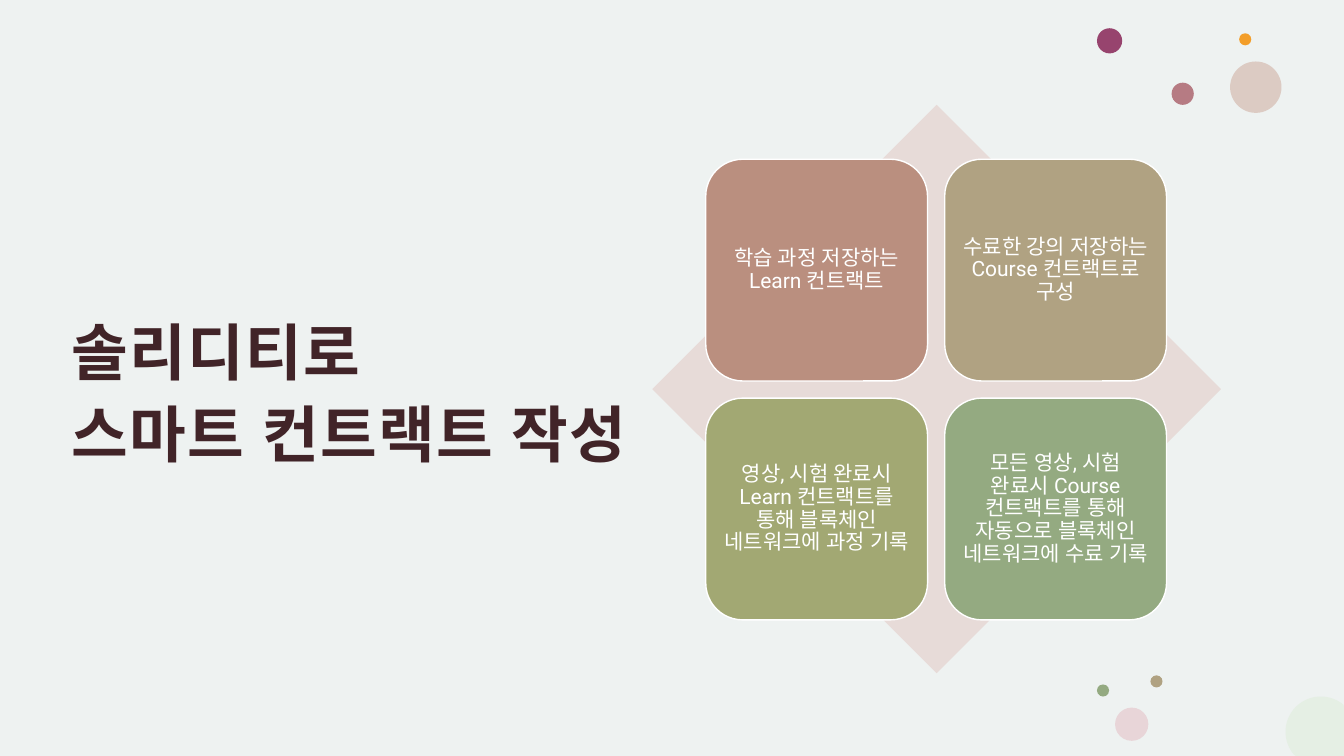
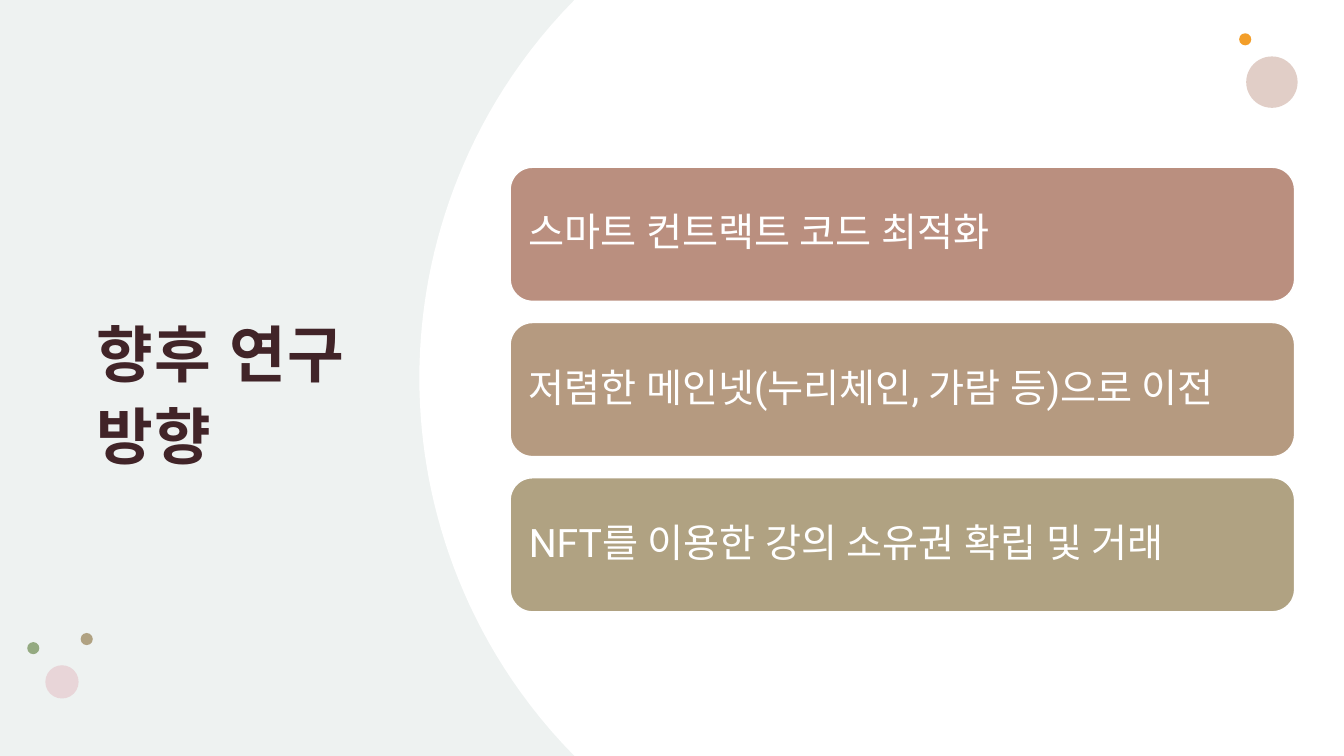
"""Build two slides on smart contracts and future research."""
from math import cos, radians, sin, sqrt

from lxml import etree
from pptx import Presentation
from pptx.dml.color import RGBColor
from pptx.enum.shapes import MSO_SHAPE as Preset
from pptx.enum.text import MSO_ANCHOR as Anchor, MSO_AUTO_SIZE as AutoSize, PP_ALIGN as Align
from pptx.oxml.ns import qn
from pptx.util import Inches, Pt

WIDTH, HEIGHT = 13.33, 7.5
FONT = "Roboto"
COLORS = {
    "background": "EEF2F1", "title": "412428", "white": "FFFFFF",
    "clay": "BA8F7F", "tan": "B59A80", "sand": "B0A282", "olive": "A2A873", "sage": "94AA81",
    "blush": "E7DBD8", "plum": "97446E", "rose": "B67B83", "orange": "F39E29",
    "beige": "D6BCB2", "pink": "E8D5D8", "mint": "E5EFE4",
}

CONTRACT_TITLE = "솔리디티로\v스마트 컨트랙트 작성"
CONTRACT_CARDS = [
    ("학습 과정 저장하는 Learn 컨트랙트", "clay"),
    ("수료한 강의 저장하는 Course 컨트랙트로 구성", "sand"),
    ("영상, 시험 완료시 Learn 컨트랙트를 통해 블록체인 네트워크에 과정 기록", "olive"),
    ("모든 영상, 시험 완료시 Course 컨트랙트를 통해 자동으로 블록체인 네트워크에 수료 기록", "sage"),
]
RESEARCH_TITLE = "향후 연구 방향"
RESEARCH_BARS = [
    ("스마트 컨트랙트 코드 최적화", "clay"),
    ("저렴한 메인넷(누리체인, 가람 등)으로 이전", "tan"),
    ("NFT를 이용한 강의 소유권 확립 및 거래", "sand"),
]
TRIO = [("sand", 0.53, 0, 0.12), ("pink", 0.18, 0.32, 0.33), ("sage", 0, 0.09, 0.12)]


def fill_shape(shape, color, outlined=False):
    shape.shadow.inherit = False
    shape.fill.solid()
    shape.fill.fore_color.rgb = RGBColor.from_string(COLORS[color])
    if outlined:
        shape.line.color.rgb = RGBColor.from_string(COLORS["white"])
        shape.line.width = Pt(1)
    else:
        shape.line.fill.background()


def add_preset(slide, preset, color, left, top, width, height, outlined=False):
    box = [Inches(value) for value in (left, top, width, height)]
    shape = slide.shapes.add_shape(preset, *box)
    fill_shape(shape, color, outlined)
    return shape


def add_polygon(slide, color, points):
    start, *others = [(Inches(x), Inches(y)) for x, y in points]
    builder = slide.shapes.build_freeform(*start)
    builder.add_line_segments(others, close=True)
    fill_shape(builder.convert_to_shape(), color)


def add_dot(slide, color, left, top, size):
    return add_preset(slide, Preset.OVAL, color, left, top, size, size)


def add_dots(slide, beige_left, beige_top, trio_left, trio_top):
    beige = add_dot(slide, "beige", beige_left, beige_top, 0.51)
    fill_color = beige.fill._xPr.find(qn("a:solidFill"))[0]
    etree.SubElement(fill_color, qn("a:alpha")).set("val", "72000")
    add_dot(slide, "orange", 12.29, 0.33, 0.12)
    for color, x, y, size in TRIO:
        add_dot(slide, color, trio_left + x, trio_top + y, size)


def format_text(shape, text, size, color, align, spacing, margin, bold=False):
    frame = shape.text_frame
    frame.text = text
    frame.word_wrap = True
    frame.auto_size = AutoSize.NONE
    frame.vertical_anchor = Anchor.MIDDLE
    frame.margin_left = frame.margin_right = Inches(margin)
    frame.margin_top = frame.margin_bottom = Inches(margin)
    paragraph = frame.paragraphs[0]
    paragraph.alignment = align
    paragraph.line_spacing = spacing
    paragraph.space_before = Pt(0)
    font = paragraph.font
    font.name, font.size, font.bold = FONT, Pt(size), bold
    font.color.rgb = RGBColor.from_string(COLORS[color])
    etree.SubElement(font._element, qn("a:ea")).set("typeface", FONT)
    return paragraph


def add_panel(slide, text, color, box, size, align, margin):
    shape = add_preset(slide, Preset.ROUNDED_RECTANGLE, color, *box, outlined=True)
    format_text(shape, text, size, "white", align, 0.9, margin)


def add_slide(presentation, text, left, top, width):
    slide = presentation.slides.add_slide(presentation.slide_layouts[5])
    title = slide.shapes.title
    title.left, title.top = Inches(left), Inches(top)
    title.width, title.height = Inches(width), Inches(5.64)
    paragraph = format_text(title, text, 44, "title", Align.LEFT, 1.1, 0.12, bold=True)
    paragraph.font._element.set("spc", "100")
    title.text_frame.margin_bottom = Inches(0.1)
    return slide


def build_contract_slide(presentation):
    slide = add_slide(presentation, CONTRACT_TITLE, 0.59, 1.02, 6.07)
    add_dot(slide, "plum", 10.88, 0.28, 0.25)
    add_dot(slide, "rose", 11.62, 0.82, 0.22)
    add_dots(slide, 12.2, 0.61, 10.88, 6.7)
    add_polygon(slide, "mint", [
        (min(13.1 + 0.35 * cos(radians(angle)), WIDTH),
         min(7.26 + 0.35 * sin(radians(angle)), HEIGHT))
        for angle in range(0, 360, 5)
    ])
    add_preset(slide, Preset.DIAMOND, "blush", 6.47, 1.04, 5.64, 5.64)
    for index, (text, color) in enumerate(CONTRACT_CARDS):
        row, column = divmod(index, 2)
        box = (7 + 2.37 * column, 1.58 + 2.37 * row, 2.2, 2.2)
        add_panel(slide, text, color, box, 15, Align.CENTER, 0.06)


def build_research_slide(presentation):
    slide = add_slide(presentation, RESEARCH_TITLE, 0.84, 1.04, 3.13)
    radius, steps = 5.34, 60
    arc = []
    for step in range(steps + 1):
        y = HEIGHT * step / steps
        arc.append((4.16 + radius - sqrt(radius ** 2 - (y - HEIGHT / 2) ** 2), y))
    add_polygon(slide, "white", arc + [(WIDTH, HEIGHT), (WIDTH, 0)])
    add_dots(slide, 12.36, 0.56, 0.27, 6.28)
    for index, (text, color) in enumerate(RESEARCH_BARS):
        box = (5.06, 1.66 + 1.54 * index, 7.78, 1.33)
        add_panel(slide, text, color, box, 28, Align.LEFT, 0.12)


def main():
    presentation = Presentation()
    presentation.slide_width, presentation.slide_height = Inches(WIDTH), Inches(HEIGHT)
    background = presentation.slide_master.background.fill
    background.solid()
    background.fore_color.rgb = RGBColor.from_string(COLORS["background"])
    build_contract_slide(presentation)
    build_research_slide(presentation)
    presentation.save("out.pptx")


if __name__ == "__main__":
    main()
